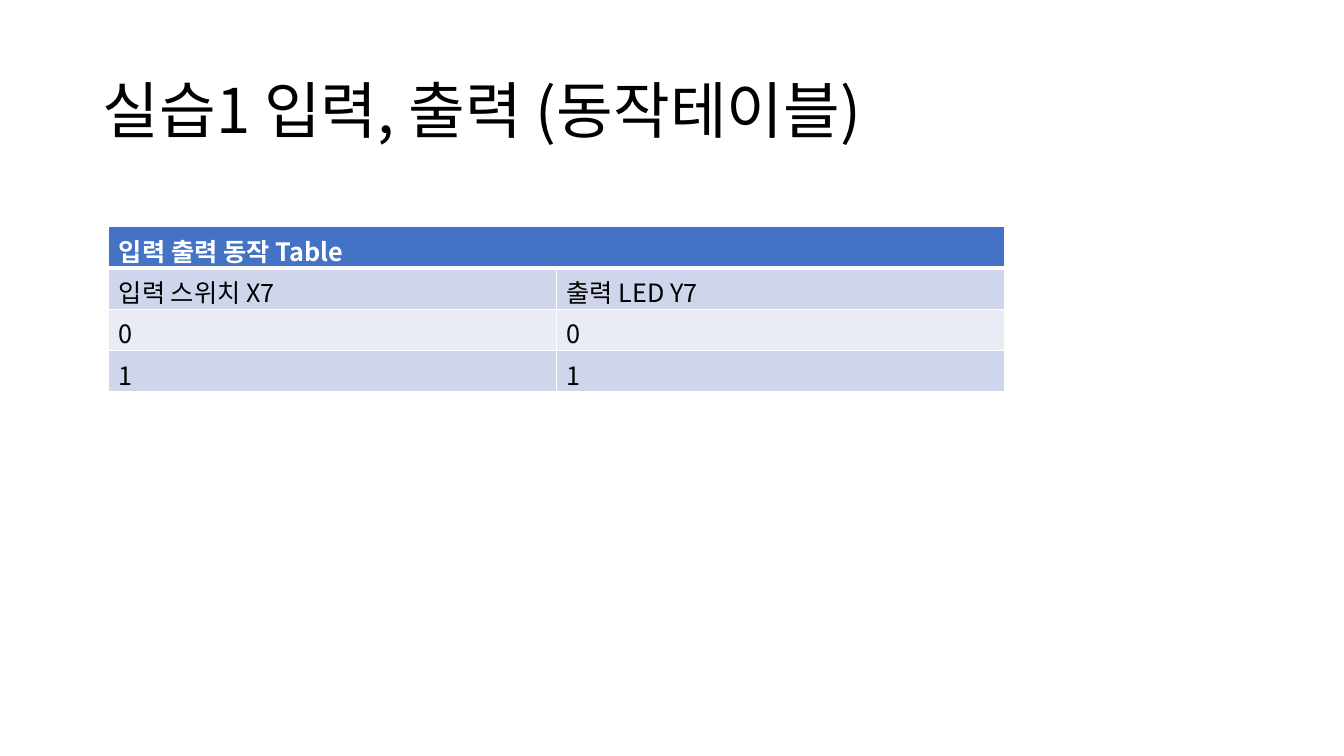
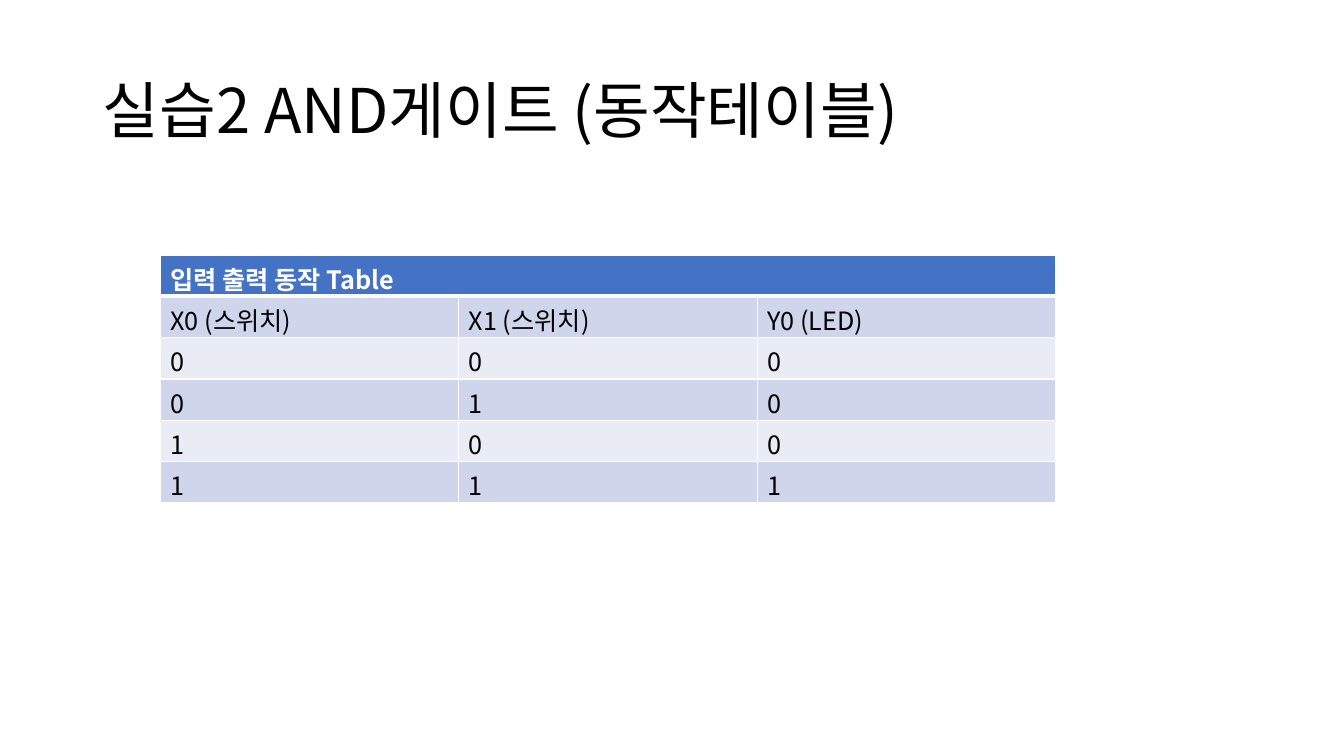
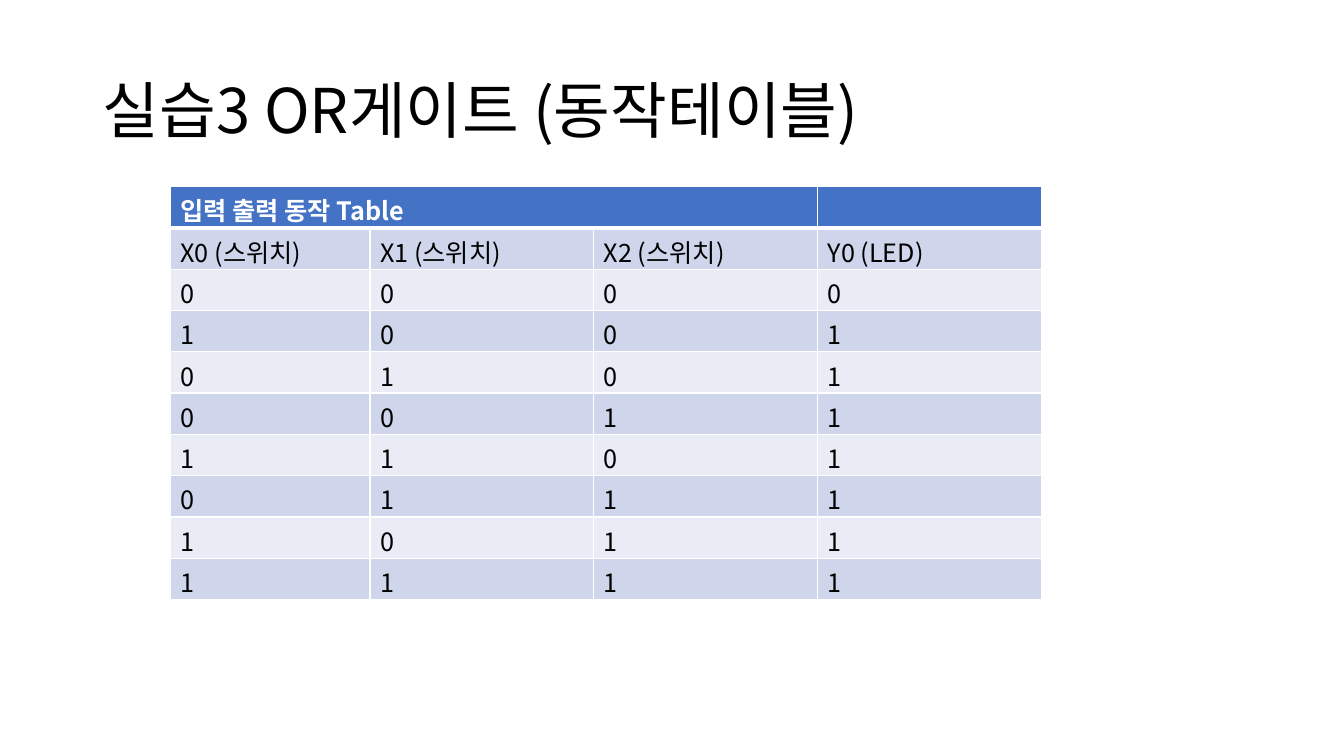
from dataclasses import dataclass

from lxml.etree import SubElement
from pptx import Presentation
from pptx.dml.color import RGBColor
from pptx.enum.text import MSO_ANCHOR
from pptx.oxml import parse_xml
from pptx.oxml.ns import nsdecls, qn
from pptx.slide import Slide
from pptx.table import _Cell
from pptx.text.text import TextFrame
from pptx.util import Inches, Pt

FONT = "Noto Sans CJK KR"
BLACK = RGBColor(0x00, 0x00, 0x00)
WHITE = RGBColor(0xFF, 0xFF, 0xFF)
HEADER_BLUE = RGBColor(0x44, 0x72, 0xC4)
BAND_DARK = RGBColor(0xCF, 0xD5, 0xEA)
BAND_LIGHT = RGBColor(0xE9, 0xEB, 0xF5)
ROW_HEIGHT = 0.41
TABLE_HEADING = "입력 출력 동작 Table"


@dataclass(frozen=True)
class TruthTable:
    title: str
    left: float
    top: float
    widths: tuple[float, ...]
    heading_span: int
    labels: tuple[str, ...]
    states: tuple[str, ...]


TRUTH_TABLES = (
    TruthTable(
        "실습1 입력, 출력 (동작테이블)", 1.08, 2.25, (4.44,) * 2, 2,
        ("입력 스위치 X7", "출력 LED Y7"),
        ("00", "11"),
    ),
    TruthTable(
        "실습2 AND게이트 (동작테이블)", 1.59, 2.53, (2.96,) * 3, 3,
        ("X0 (스위치)", "X1 (스위치)", "Y0 (LED)"),
        ("000", "010", "100", "111"),
    ),
    TruthTable(
        "실습3 OR게이트 (동작테이블)", 1.69, 1.85, (1.98,) + (2.22,) * 3, 3,
        ("X0 (스위치)", "X1 (스위치)", "X2 (스위치)", "Y0 (LED)"),
        ("0000", "1001", "0101", "0011", "1101", "0111", "1011", "1111"),
    ),
)


def write_text(frame: TextFrame, text: str, *, size: float,
               color: RGBColor = BLACK, bold: bool = False,
               line_spacing: float = 1.0) -> None:
    para = frame.paragraphs[0]
    para.line_spacing = line_spacing
    span = para.add_run()
    span.text = text
    span.font.size = Pt(size)
    span.font.bold = bold
    span.font.color.rgb = color
    span.font.name = FONT
    SubElement(span.font._element, qn("a:ea"), typeface=FONT)


def set_borders(cell: _Cell, *, top: float = 1, bottom: float = 1) -> None:
    properties = cell._tc.get_or_add_tcPr()
    sides = {"lnL": 1, "lnR": 1, "lnT": top, "lnB": bottom}
    for position, (side, width) in enumerate(sides.items()):
        properties.insert(position, parse_xml(
            f'<a:{side} {nsdecls("a")} w="{Pt(width)}"><a:solidFill>'
            f'<a:srgbClr val="{WHITE}"/></a:solidFill></a:{side}>'
        ))


def add_title(page: Slide, text: str) -> None:
    box = page.shapes.add_textbox(Inches(0.92), Inches(0.4), Inches(11.5), Inches(1.45))
    frame = box.text_frame
    frame.word_wrap = True
    frame.vertical_anchor = MSO_ANCHOR.MIDDLE
    write_text(frame, text, size=44, line_spacing=0.9)


def add_truth_table(page: Slide, content: TruthTable) -> None:
    columns = len(content.widths)
    heading = (TABLE_HEADING,) + ("",) * (columns - 1)
    rows = (heading, content.labels, *content.states)
    table = page.shapes.add_table(
        len(rows), columns, Inches(content.left), Inches(content.top),
        Inches(sum(content.widths)), Inches(ROW_HEIGHT * len(rows)),
    ).table
    for column, width in zip(table.columns, content.widths):
        column.width = Inches(width)
    for index, values in enumerate(rows):
        is_heading = index == 0
        band = BAND_DARK if index % 2 else BAND_LIGHT
        table.rows[index].height = Inches(ROW_HEIGHT)
        for cell, value in zip(table.rows[index].cells, values):
            cell.fill.solid()
            cell.fill.fore_color.rgb = HEADER_BLUE if is_heading else band
            set_borders(cell, top=3 if index == 1 else 1, bottom=3 if is_heading else 1)
            if value:
                write_text(cell.text_frame, value, size=18, bold=is_heading,
                           color=WHITE if is_heading else BLACK)
    table.cell(0, 0).merge(table.cell(0, content.heading_span - 1))


def main() -> None:
    deck = Presentation()
    deck.slide_width = Inches(13.33)
    deck.slide_height = Inches(7.5)
    for content in TRUTH_TABLES:
        page = deck.slides.add_slide(deck.slide_layouts[6])
        add_title(page, content.title)
        add_truth_table(page, content)
    deck.save("out.pptx")


if __name__ == "__main__":
    main()
